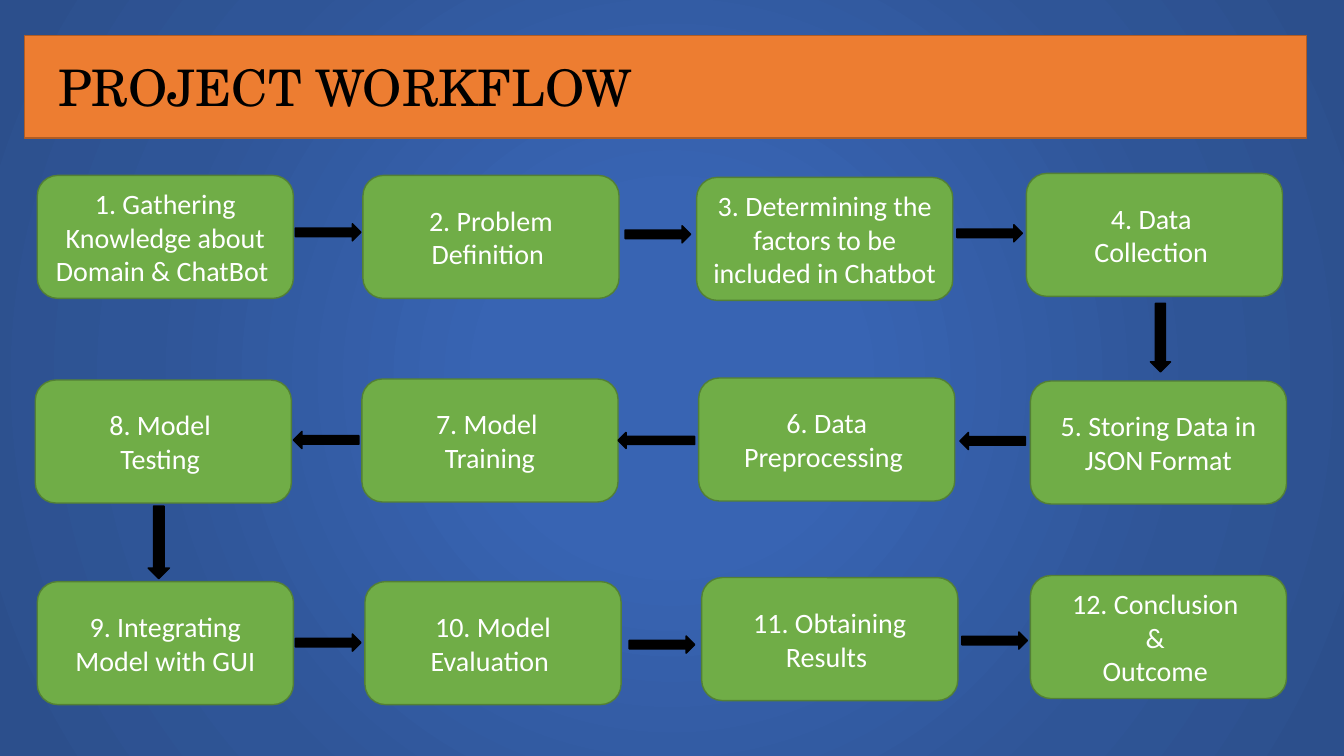
from lxml import etree
from pptx import Presentation
from pptx.dml.color import RGBColor
from pptx.enum.shapes import MSO_SHAPE as SHAPE
from pptx.enum.text import MSO_ANCHOR as ANCHOR, PP_ALIGN as ALIGN
from pptx.oxml import parse_xml
from pptx.oxml.ns import nsdecls, qn
from pptx.util import Inches, Pt

ORANGE = RGBColor(0xED, 0x7D, 0x31)
BROWN = RGBColor(0xAF, 0x5C, 0x24)
GREEN = RGBColor(0x70, 0xAD, 0x47)
DARK_GREEN = RGBColor(0x53, 0x80, 0x35)
BLACK = RGBColor(0, 0, 0)
WHITE = RGBColor(0xFF, 0xFF, 0xFF)
BACKGROUND_STOPS = [
    (0, RGBColor(0x38, 0x64, 0xB3)),
    (23, RGBColor(0x38, 0x64, 0xB3)),
    (69, RGBColor(0x2F, 0x55, 0x97)),
    (97, RGBColor(0x2C, 0x4F, 0x8C)),
]
STEP_W, STEP_H = 2.54, 1.22

# Steps in reading order: left, top, one line per paragraph
STEPS = [
    (0.37, 1.74, "1. Gathering Knowledge about Domain & ChatBot "),
    (3.6, 1.74, "2. Problem Definition "),
    (6.91, 1.76, "3. Determining the factors to be included in Chatbot "),
    (10.18, 1.72, "4. Data \nCollection "),
    (10.22, 3.78, "5. Storing Data in JSON Format"),
    (6.93, 3.75, "6. Data Preprocessing "),
    (3.59, 3.76, "7. Model \nTraining"),
    (0.35, 3.77, "8. Model \nTesting "),
    (0.37, 5.77, "9. Integrating Model with GUI"),
    (3.62, 5.77, "10. Model Evaluation "),
    (6.96, 5.73, "11. Obtaining Results "),
    (10.22, 5.71, "12. Conclusion \n& \nOutcome "),
]

# Arrows by direction: shape, width, height, positions
ARROWS = [
    (SHAPE.RIGHT_ARROW, 0.65, 0.17, [(2.93, 2.22), (6.2, 2.24), (9.49, 2.23),
                                     (2.93, 6.29), (6.24, 6.31), (9.54, 6.27)]),
    (SHAPE.LEFT_ARROW, 0.65, 0.17, [(9.52, 4.29), (2.91, 4.28)]),
    (SHAPE.LEFT_ARROW, 0.76, 0.16, [(6.13, 4.29)]),
    (SHAPE.DOWN_ARROW, 0.2, 0.68, [(11.41, 3.01)]),
    (SHAPE.DOWN_ARROW, 0.21, 0.72, [(1.47, 5.02)]),
]


class WorkflowSlide:
    title_font = "TeX Gyre Schola"
    step_font = "Calibri"

    def __init__(self, prs):
        self.s = prs.slides.add_slide(prs.slide_layouts[6])

    def background(self, stops):
        fill = self.s.background.fill
        fill.gradient()
        grad = self.s.element.xpath(".//p:bgPr/a:gradFill")[0]
        for child in list(grad):
            grad.remove(child)
        gs = "".join(f'<a:gs pos="{pos * 1000}"><a:srgbClr val="{color}"/></a:gs>'
                     for pos, color in stops)
        grad.append(parse_xml(f'<a:gsLst {nsdecls("a")}>{gs}</a:gsLst>'))
        radial = etree.SubElement(grad, qn("a:path"), {"path": "circle"})
        etree.SubElement(radial, qn("a:fillToRect"), {side: "50000" for side in "ltrb"})

    def shape(self, kind, x, y, w, h, fill, line):
        sp = self.s.shapes.add_shape(kind, Inches(x), Inches(y), Inches(w), Inches(h))
        sp.shadow.inherit = False
        sp.fill.solid()
        sp.fill.fore_color.rgb = fill
        sp.line.color.rgb = line
        sp.line.width = Pt(1)
        return sp

    def set_text(self, tf, text, font, size, color, align):
        tf.word_wrap = True
        tf.text = text
        for p in tf.paragraphs:
            p.alignment = align
            for r in p.runs:
                r.font.name = font
                r.font.size = Pt(size)
                r.font.color.rgb = color

    def title(self, text):
        self.shape(SHAPE.RECTANGLE, 0.24, 0.35, 12.72, 1.02, ORANGE, BROWN)
        box = self.s.shapes.add_textbox(Inches(0.48), Inches(0.46),
                                        Inches(11.14), Inches(0.81))
        tf = box.text_frame
        tf.margin_left = tf.margin_right = Inches(0.1)
        tf.margin_top = tf.margin_bottom = Inches(0.1)
        self.set_text(tf, text, self.title_font, 36, BLACK, ALIGN.LEFT)

    def step(self, x, y, text):
        sp = self.shape(SHAPE.ROUNDED_RECTANGLE, x, y, STEP_W, STEP_H, GREEN, DARK_GREEN)
        tf = sp.text_frame
        tf.vertical_anchor = ANCHOR.MIDDLE
        self.set_text(tf, text, self.step_font, 20, WHITE, ALIGN.CENTER)

    def arrow(self, kind, x, y, w, h):
        self.shape(kind, x, y, w, h, BLACK, BLACK)


def main():
    prs = Presentation()
    prs.slide_width, prs.slide_height = Inches(13.33), Inches(7.5)
    slide = WorkflowSlide(prs)

    # Background and title
    slide.background(BACKGROUND_STOPS)
    slide.title("PROJECT WORKFLOW")

    # Steps
    for x, y, text in STEPS:
        slide.step(x, y, text)

    # Arrows between the steps
    for kind, w, h, places in ARROWS:
        for x, y in places:
            slide.arrow(kind, x, y, w, h)

    prs.save("out.pptx")


if __name__ == "__main__":
    main()
